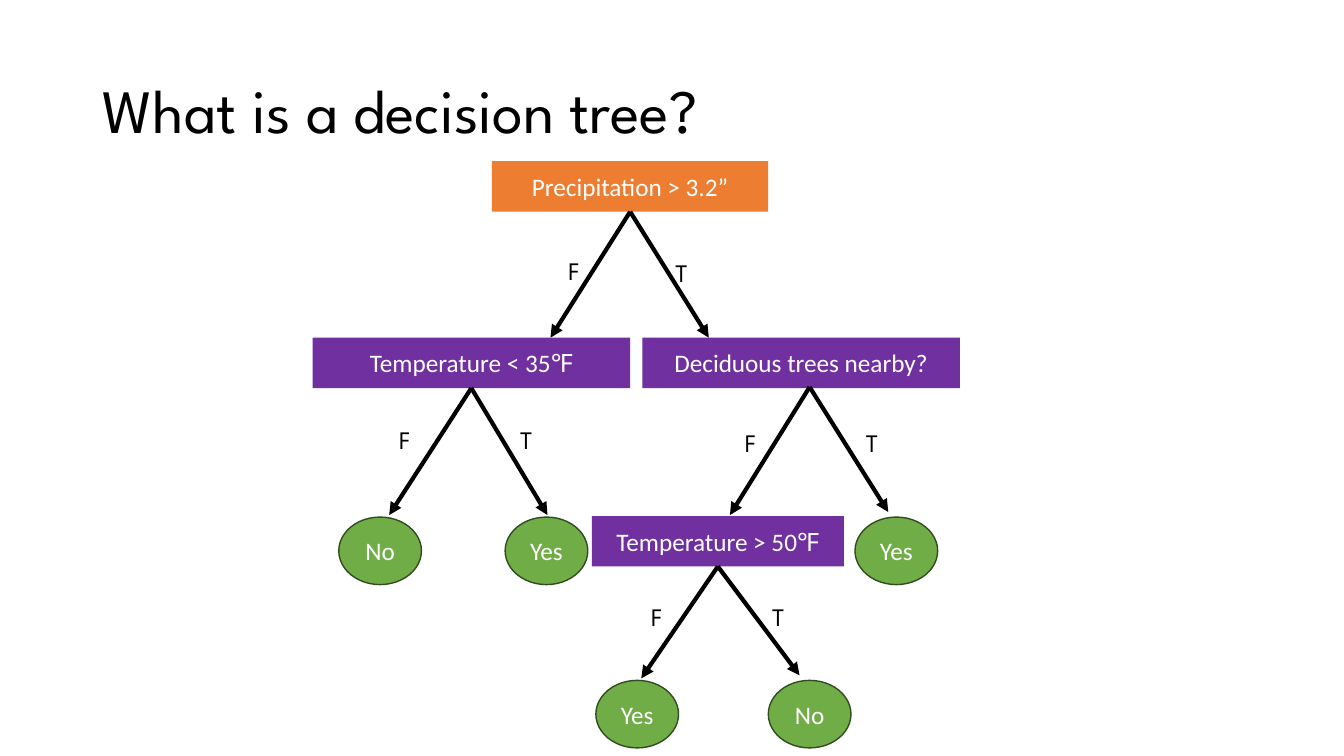
from dataclasses import dataclass

from lxml.etree import SubElement
from pptx import Presentation
from pptx.dml.color import RGBColor
from pptx.enum.shapes import MSO_CONNECTOR, MSO_SHAPE
from pptx.enum.text import MSO_ANCHOR, MSO_AUTO_SIZE, PP_ALIGN
from pptx.oxml.ns import qn
from pptx.shapes.autoshape import Shape
from pptx.slide import Slide
from pptx.util import Inches, Pt


@dataclass(frozen=True)
class Theme:
    black: RGBColor = RGBColor(0x00, 0x00, 0x00)
    white: RGBColor = RGBColor(0xFF, 0xFF, 0xFF)
    root: RGBColor = RGBColor(0xED, 0x7D, 0x31)
    test: RGBColor = RGBColor(0x70, 0x30, 0xA0)
    leaf: RGBColor = RGBColor(0x70, 0xAD, 0x47)
    leaf_edge: RGBColor = RGBColor(0x31, 0x4C, 0x1F)
    display: str = "League Spartan"
    body: str = "Calibri"
    title_size: Pt = Pt(44)
    text_size: Pt = Pt(18)
    arrow_width: Pt = Pt(3)
    edge_width: Pt = Pt(1)


@dataclass(frozen=True)
class Branch:
    label: str
    label_x: float
    label_y: float
    end_x: float
    end_y: float


@dataclass(frozen=True)
class Decision:
    text: str
    unit: str
    x: float
    y: float
    width: float
    color: RGBColor
    split_x: float
    split_y: float
    branches: tuple[Branch, Branch]


@dataclass(frozen=True)
class Leaf:
    text: str
    x: float
    y: float


THEME = Theme()
BOX_HEIGHT = 0.5
LEAF_WIDTH, LEAF_HEIGHT = 0.82, 0.67
LABEL_WIDTH, LABEL_HEIGHT = 0.33, 0.4
JOIN_TOLERANCE = 0.03

DECISIONS = (
    Decision("Precipitation > 3.2”", "", 4.88, 1.6, 2.74, THEME.root, 6.25, 2.1,
             (Branch("F", 5.54, 2.48, 5.46, 3.35), Branch("T", 6.6, 2.5, 7.03, 3.35))),
    Decision("Temperature < 35", "℉", 3.1, 3.35, 3.15, THEME.test, 4.65, 3.85,
             (Branch("F", 3.86, 4.16, 3.86, 5.11), Branch("T", 5.06, 4.16, 5.43, 5.11))),
    Decision("Deciduous trees nearby?", "", 6.37, 3.35, 3.15, THEME.test, 8.03, 3.84,
             (Branch("F", 7.29, 4.19, 7.24, 5.11), Branch("T", 8.49, 4.19, 8.81, 5.08))),
    Decision("Temperature > 50", "℉", 5.87, 5.12, 2.5, THEME.test, 7.12, 5.62,
             (Branch("F", 6.36, 5.92, 6.36, 6.73), Branch("T", 7.56, 5.92, 7.93, 6.7))),
)
LEAVES = (
    Leaf("No", 3.36, 5.13),
    Leaf("Yes", 5.01, 5.13),
    Leaf("Yes", 8.48, 5.13),
    Leaf("Yes", 5.91, 6.75),
    Leaf("No", 7.62, 6.75),
)


def set_title(slide: Slide, text: str) -> None:
    sp = slide.shapes.title
    sp.left, sp.top = Inches(0.92), Inches(0.4)
    sp.width, sp.height = Inches(11.5), Inches(1.45)
    tf = sp.text_frame
    tf.text = text
    tf.word_wrap = True
    tf.auto_size = MSO_AUTO_SIZE.NONE
    tf.vertical_anchor = MSO_ANCHOR.MIDDLE
    p = tf.paragraphs[0]
    p.alignment = PP_ALIGN.LEFT
    p.line_spacing = 0.9
    p.font.name = THEME.display
    p.font.size = THEME.title_size
    p.font.color.rgb = THEME.black


def add_node(slide: Slide, kind: MSO_SHAPE, x: float, y: float, width: float,
             height: float, color: RGBColor, text: str, unit: str = "") -> Shape:
    sp = slide.shapes.add_shape(kind, Inches(x), Inches(y), Inches(width), Inches(height))
    sp.shadow.inherit = False
    sp.fill.solid()
    sp.fill.fore_color.rgb = color
    sp.line.fill.background()
    tf = sp.text_frame
    tf.word_wrap = True
    tf.vertical_anchor = MSO_ANCHOR.MIDDLE
    p = tf.paragraphs[0]
    p.alignment = PP_ALIGN.CENTER
    p.font.name = THEME.body
    p.font.size = THEME.text_size
    p.font.color.rgb = THEME.white
    p.add_run().text = text
    if unit:
        r = p.add_run()
        r.text = unit
        r.font.name = THEME.display
    return sp


def add_leaf(slide: Slide, leaf: Leaf) -> None:
    sp = add_node(slide, MSO_SHAPE.OVAL, leaf.x, leaf.y, LEAF_WIDTH, LEAF_HEIGHT,
                  THEME.leaf, leaf.text)
    sp.line.color.rgb = THEME.leaf_edge
    sp.line.width = THEME.edge_width


def add_arrow(slide: Slide, box: Shape, decision: Decision, branch: Branch) -> None:
    line = slide.shapes.add_connector(
        MSO_CONNECTOR.STRAIGHT, Inches(decision.split_x), Inches(decision.split_y),
        Inches(branch.end_x), Inches(branch.end_y))
    if abs(decision.x + decision.width / 2 - decision.split_x) <= JOIN_TOLERANCE:
        line.begin_connect(box, 2)
    line.line.color.rgb = THEME.black
    line.line.width = THEME.arrow_width
    SubElement(line.line._get_or_add_ln(), qn("a:tailEnd"), type="triangle")
    SubElement(line._element.spPr, qn("a:effectLst"))


def add_label(slide: Slide, branch: Branch) -> None:
    sp = slide.shapes.add_textbox(Inches(branch.label_x), Inches(branch.label_y),
                                  Inches(LABEL_WIDTH), Inches(LABEL_HEIGHT))
    tf = sp.text_frame
    tf.text = branch.label
    tf.word_wrap = False
    tf.auto_size = MSO_AUTO_SIZE.SHAPE_TO_FIT_TEXT
    p = tf.paragraphs[0]
    p.font.name = THEME.display
    p.font.size = THEME.text_size
    p.font.color.rgb = THEME.black


def add_decision(slide: Slide, decision: Decision) -> None:
    box = add_node(slide, MSO_SHAPE.RECTANGLE, decision.x, decision.y, decision.width,
                   BOX_HEIGHT, decision.color, decision.text, decision.unit)
    for branch in decision.branches:
        add_arrow(slide, box, decision, branch)
        add_label(slide, branch)


def main() -> None:
    prs = Presentation()
    prs.slide_width, prs.slide_height = Inches(13.33), Inches(7.5)
    slide = prs.slides.add_slide(prs.slide_layouts.get_by_name("Title Only"))
    set_title(slide, "What is a decision tree?")
    for decision in DECISIONS:
        add_decision(slide, decision)
    for leaf in LEAVES:
        add_leaf(slide, leaf)
    prs.save("out.pptx")


if __name__ == "__main__":
    main()
